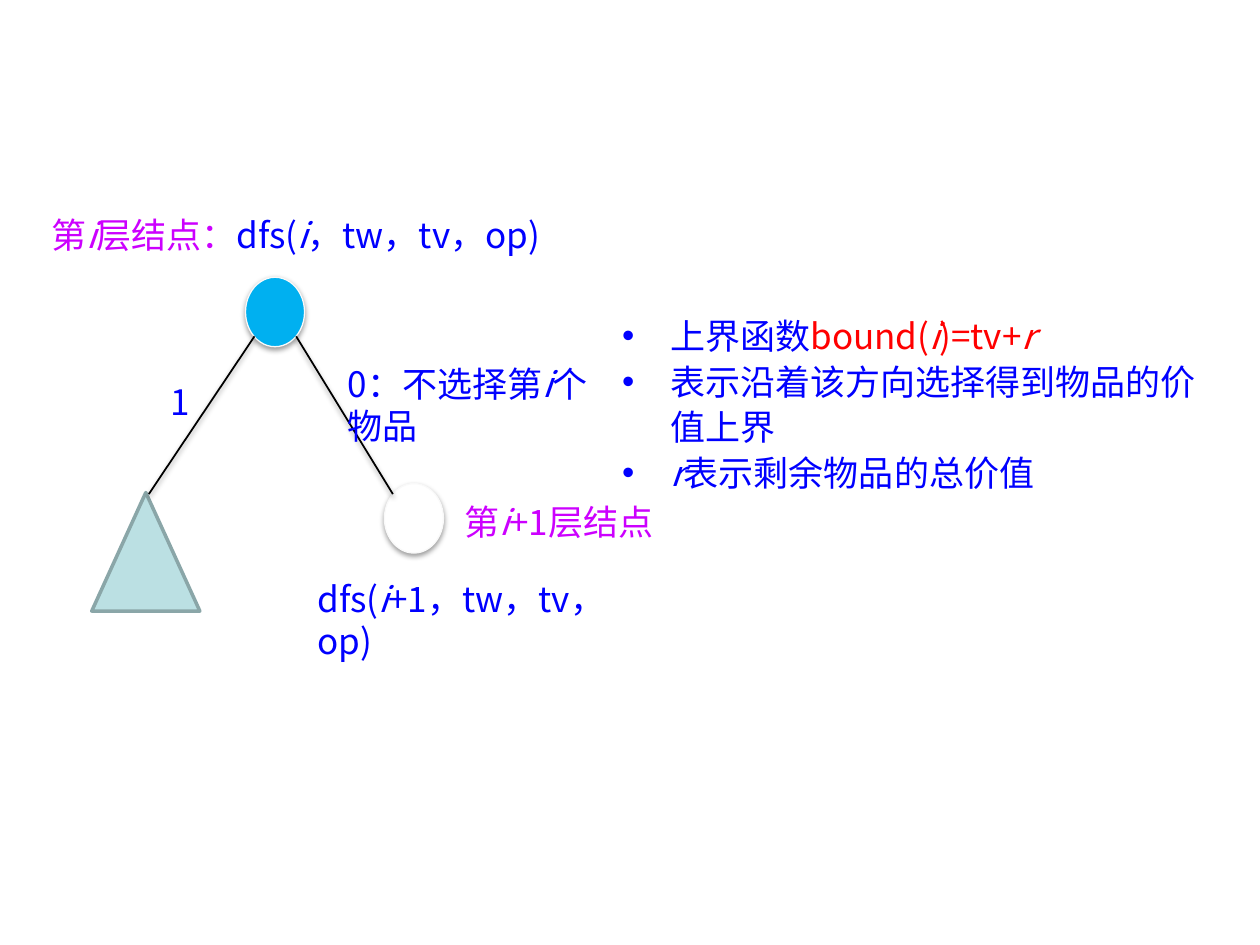
from dataclasses import dataclass
from typing import Any, NamedTuple

import lxml.etree
import pptx
import pptx.dml.color
import pptx.enum.shapes
import pptx.enum.text
import pptx.oxml
import pptx.oxml.ns
import pptx.util

Cm = pptx.util.Cm
Pt = pptx.util.Pt
ShapeKind = pptx.enum.shapes.MSO_SHAPE
qn = pptx.oxml.ns.qn


@dataclass(frozen=True)
class Theme:
    font: str = "Noto Sans CJK SC"
    text_size: float = 20
    list_spacing: float = 26
    list_indent: float = 0.97
    blue: str = "0000FF"
    purple: str = "CC00FF"
    red: str = "FF0000"
    edge: str = "000000"
    root_fill: str = "00B0F0"
    child_fill: str = "FFFFFF"
    node_line: str = "F9F9F9"
    subtree_fill: str = "BBE0E3"
    subtree_line: str = "8AA6A8"


THEME = Theme()


class Span(NamedTuple):
    text: str
    color: str = THEME.blue
    italic: bool = False


class Node(NamedTuple):
    kind: Any
    left: float
    top: float
    width: float
    height: float
    fill: str
    line: str
    line_width: float
    shadow: bool


class Edge(NamedTuple):
    x1: float
    y1: float
    x2: float
    y2: float


class Label(NamedTuple):
    left: float
    top: float
    width: float
    height: float
    paragraphs: list[list[Span]]
    bulleted: bool = False


def rgb(color: str) -> pptx.dml.color.RGBColor:
    return pptx.dml.color.RGBColor.from_string(color)


def add_shadow(properties: Any) -> None:
    effects = properties.find(qn("a:effectLst"))
    if effects is None:
        effects = lxml.etree.SubElement(properties, qn("a:effectLst"))
    shadow = lxml.etree.SubElement(
        effects, qn("a:outerShdw"), blurRad=str(Pt(3.1)), dist=str(Pt(1.6)),
        dir="5400000", rotWithShape="0")
    black = lxml.etree.SubElement(shadow, qn("a:srgbClr"), val="000000")
    lxml.etree.SubElement(black, qn("a:alpha"), val="38000")


def draw_node(slide: Any, node: Node) -> None:
    shape = slide.shapes.add_shape(
        node.kind, Cm(node.left), Cm(node.top), Cm(node.width), Cm(node.height))
    shape.fill.solid()
    shape.fill.fore_color.rgb = rgb(node.fill)
    shape.line.color.rgb = rgb(node.line)
    shape.line.width = Pt(node.line_width)
    shape.shadow.inherit = False
    if node.shadow:
        add_shadow(shape._element.spPr)


def draw_edge(slide: Any, edge: Edge) -> None:
    connector = slide.shapes.add_connector(
        pptx.enum.shapes.MSO_CONNECTOR.STRAIGHT,
        Cm(edge.x1), Cm(edge.y1), Cm(edge.x2), Cm(edge.y2))
    connector.line.color.rgb = rgb(THEME.edge)
    connector.line.width = Pt(1)
    add_shadow(connector._element.spPr)


def add_bullet(paragraph: Any) -> None:
    properties = paragraph._p.get_or_add_pPr()
    properties.set("marL", str(Cm(THEME.list_indent)))
    properties.set("indent", str(-Cm(THEME.list_indent)))
    lxml.etree.SubElement(properties, qn("a:buFont"), typeface="Arial")
    lxml.etree.SubElement(properties, qn("a:buChar"), char="•")
    paragraph.line_spacing = Pt(THEME.list_spacing)


def write_span(paragraph: Any, span: Span) -> None:
    run = paragraph.add_run()
    run.text = span.text
    run.font.size = Pt(THEME.text_size)
    run.font.name = THEME.font
    run.font.italic = span.italic
    run.font.color.rgb = rgb(span.color)
    latin = run.font._element.find(qn("a:latin"))
    east_asian = pptx.oxml.parse_xml(
        f'<a:ea {pptx.oxml.ns.nsdecls("a")} typeface="{THEME.font}"/>')
    latin.addnext(east_asian)


def draw_label(slide: Any, label: Label) -> None:
    frame = slide.shapes.add_textbox(
        Cm(label.left), Cm(label.top), Cm(label.width), Cm(label.height)).text_frame
    frame.word_wrap = True
    frame.auto_size = pptx.enum.text.MSO_AUTO_SIZE.SHAPE_TO_FIT_TEXT
    for index, spans in enumerate(label.paragraphs):
        paragraph = frame.add_paragraph() if index else frame.paragraphs[0]
        if label.bulleted:
            add_bullet(paragraph)
        for span in spans:
            write_span(paragraph, span)


I_BLUE = Span("i", italic=True)
I_PURPLE = Span("i", THEME.purple, True)

NODES = [
    Node(ShapeKind.OVAL, 4.95, 5.59, 1.19, 1.4,
         THEME.root_fill, THEME.node_line, 0.75, True),
    Node(ShapeKind.ISOSCELES_TRIANGLE, 1.85, 9.93, 2.18, 2.39,
         THEME.subtree_fill, THEME.subtree_line, 2, False),
    Node(ShapeKind.OVAL, 7.75, 9.75, 1.19, 1.4,
         THEME.child_fill, THEME.node_line, 0.75, True),
]

EDGES = [Edge(5.13, 6.78, 3, 9.96), Edge(5.97, 6.78, 7.92, 9.96)]

LABELS = [
    Label(0.79, 4.17, 11.13, 1.12, [[
        Span("第", THEME.purple), I_PURPLE, Span("层结点：", THEME.purple),
        Span("dfs("), I_BLUE, Span("，tw，tv，op)")]]),
    Label(3.18, 7.54, 0.99, 1.12, [[Span("1")]]),
    Label(6.15, 11.51, 7.14, 1.12, [[
        Span("dfs("), I_BLUE, Span("+1，tw，tv，op)")]]),
    Label(9.12, 9.96, 5.94, 1.12, [[
        Span("第", THEME.purple), I_PURPLE, Span("+1层结点", THEME.purple)]]),
    Label(6.76, 7.19, 5.94, 1.96, [[
        Span("0：不选择第"), I_BLUE, Span("个物品")]]),
    Label(12.29, 6.15, 12.29, 3.89, [
        [Span("上界函数"), Span("bound(", THEME.red), Span("i", THEME.red, True),
         Span(")=tv+", THEME.red), Span("r", THEME.red, True)],
        [Span("表示沿着该方向选择得到物品的价值上界")],
        [Span("r", italic=True), Span("表示剩余物品的总价值")],
    ], bulleted=True),
]


def main() -> None:
    deck = pptx.Presentation()
    deck.slide_width, deck.slide_height = Cm(25.4), Cm(19.05)
    slide = deck.slides.add_slide(deck.slide_layouts[6])
    for node in NODES:
        draw_node(slide, node)
    for edge in EDGES:
        draw_edge(slide, edge)
    for label in LABELS:
        draw_label(slide, label)
    deck.save("out.pptx")


if __name__ == "__main__":
    main()
